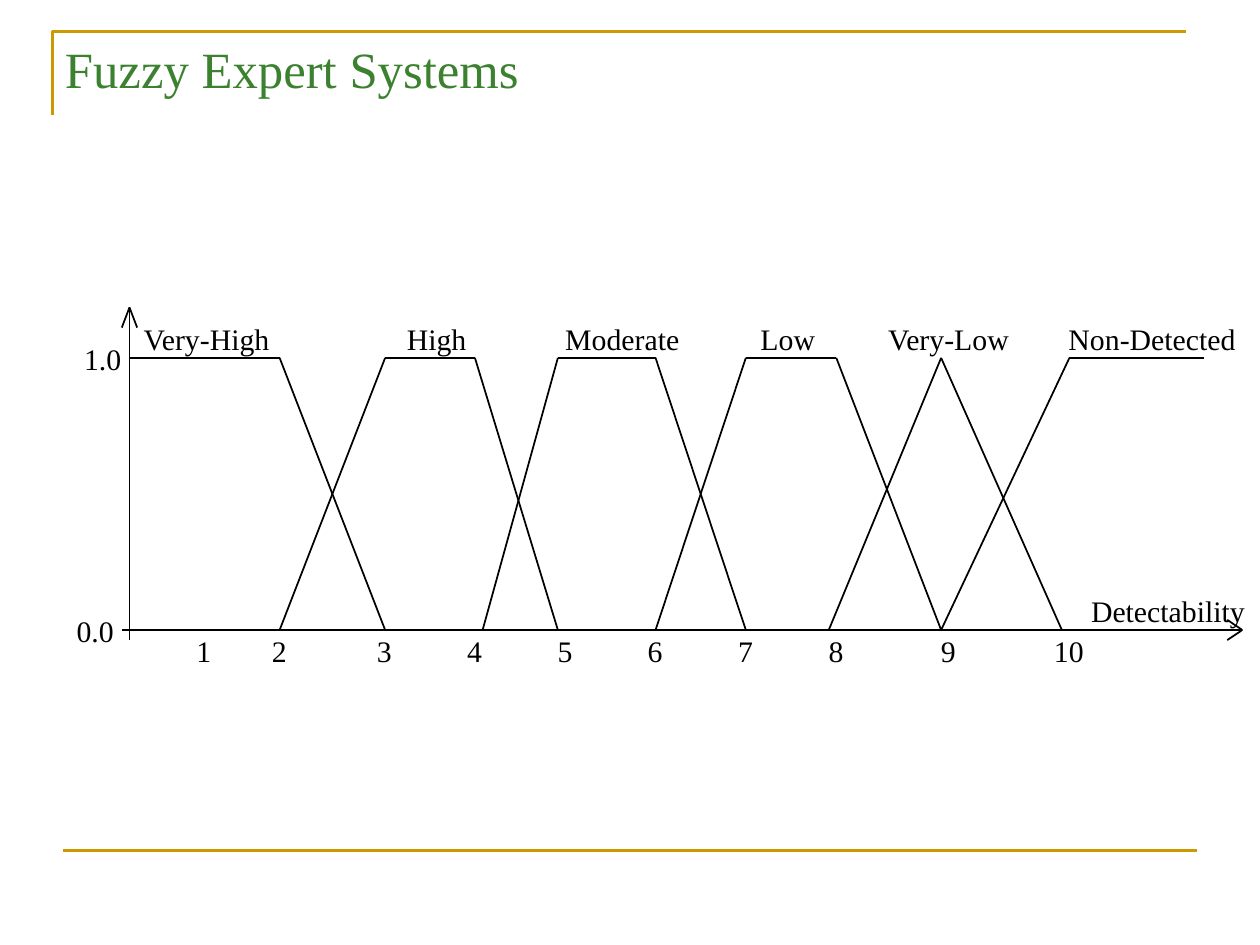
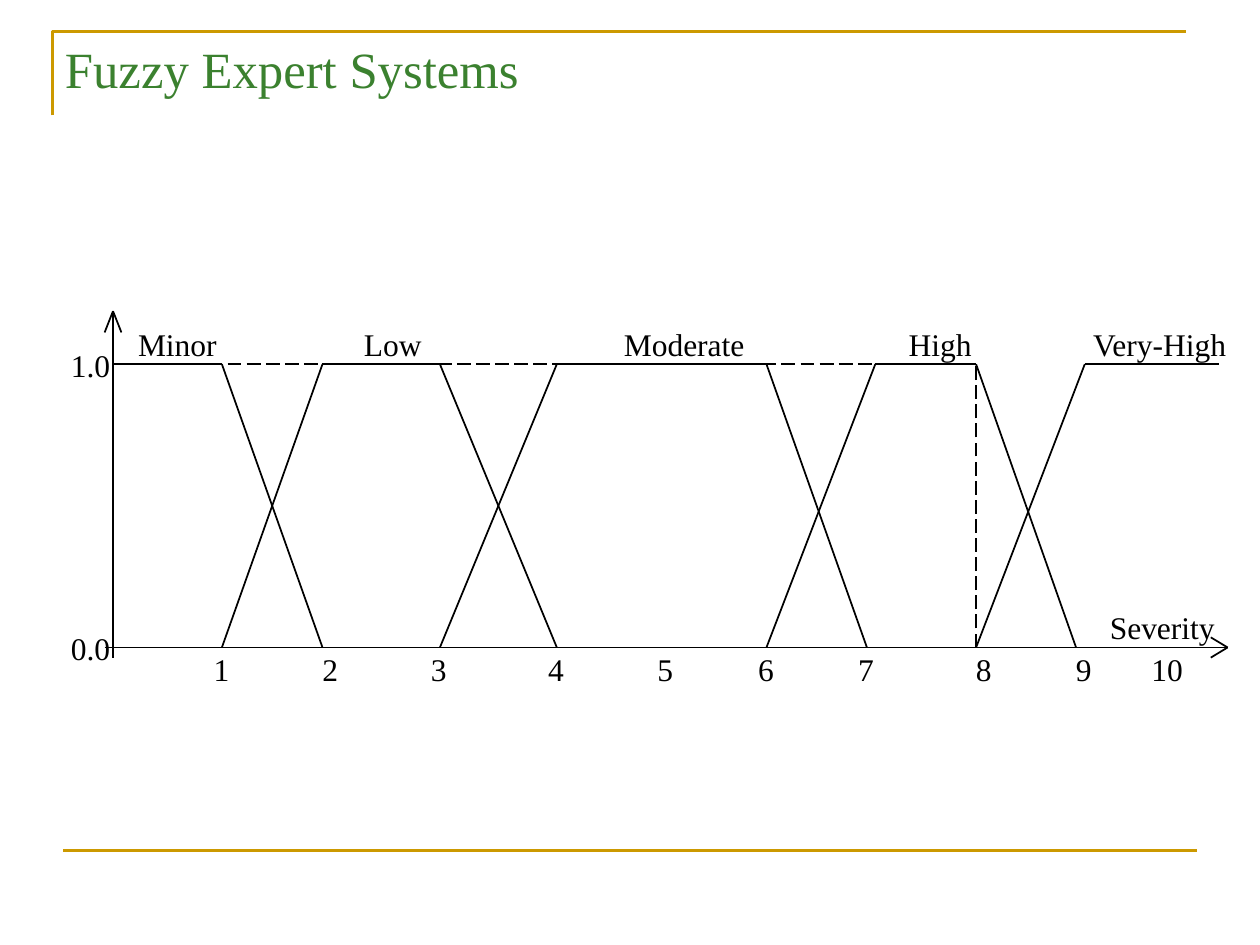
from pptx import Presentation
from pptx.dml.color import RGBColor
from pptx.enum.dml import MSO_LINE
from pptx.enum.shapes import MSO_CONNECTOR
from pptx.enum.text import MSO_ANCHOR, MSO_AUTO_SIZE
from pptx.oxml.ns import qn
from pptx.util import Pt
from lxml.etree import SubElement

COLOURS = {"gold": "CC9900", "title": "3B812F", "ink": "000000"}
FONT = "Times New Roman"
AXIS_OVERHANG = 5.8

# Each set is (name, name left, name width, left foot, left top, right top, right foot);
# a foot of None means the set runs flat to the edge of the graph.
GRAPHS = [
    {
        "variable": ("Detectability", 616.4, 103),
        "text_size": 17, "text_height": 27.4,
        "axis_x": 74, "axis_top": 175.7, "axis_right": 709.9,
        "one_y": 204.5, "zero_y": 360, "tick_rise": 1.7,
        "arrow_half": 4.4, "up_arrow": 11.5, "right_arrow": 8.6,
        "levels": [("1.0", 41), ("0.0", 36.7)], "level_width": 36.5,
        "ticks": [105.1, 148.3, 208.3, 259.9, 311.6, 363, 414.7, 466.4, 530.6, 595.2],
        "sets": [
            ("Very-High", 75, 88.5, None, 74, 159.8, 220.1),
            ("High", 225.4, 49.5, 159.8, 220.1, 271.4, 318.8),
            ("Moderate", 315.9, 80.5, 275.8, 318.8, 374.6, 426.2),
            ("Low", 427.5, 46.5, 374.6, 426.2, 477.9, 537.8),
            ("Very-Low", 500.4, 86, 473.6, 537.8, 537.8, 606.8),
            ("Non-Detected", 603.5, 111, 537.8, 611.1, 688.3, None),
        ],
        "guides": [],
    },
    {
        "variable": ("Severity", 627.1, 75),
        "text_size": 18, "text_height": 28.8,
        "axis_x": 64.6, "axis_top": 177.8, "axis_right": 701.5,
        "one_y": 208.1, "zero_y": 370, "tick_rise": 2.2,
        "arrow_half": 4.8, "up_arrow": 12.2, "right_arrow": 9.6,
        "levels": [("1.0", 33.4), ("0.0", 33.4)], "level_width": 37.5,
        "ticks": [115, 177.1, 239.2, 306.2, 368.6, 426.2, 483.3, 550.6, 607.7, 650.9],
        "sets": [
            ("Minor", 71.8, 60.5, None, 64.6, 126.8, 184.3),
            ("Low", 200.9, 48.5, 126.8, 184.3, 251.4, 318.2),
            ("Moderate", 349.4, 84.5, 251.4, 318.2, 438, 495.4),
            ("High", 512.1, 51.5, 438, 500.2, 557.8, 614.9),
            ("Very-High", 617.6, 93, 557.8, 619.9, 696.4, None),
        ],
        "guides": [(64.6, 208.1, 557.8, 208.1), (557.8, 370, 557.8, 208.1)],
    },
]


def add_line(slide, ends, colour="ink", width=1, dash=None):
    line = slide.shapes.add_connector(MSO_CONNECTOR.STRAIGHT, *[Pt(v) for v in ends])
    line.line.color.rgb = RGBColor.from_string(COLOURS[colour])
    line.line.width = Pt(width)
    if dash:
        line.line.dash_style = dash
    SubElement(line._element.spPr, qn("a:effectLst"))


def add_text(slide, text, box, size, colour="ink", wrap=False):
    frame = slide.shapes.add_textbox(*[Pt(v) for v in box]).text_frame
    frame.word_wrap = wrap
    frame.auto_size = MSO_AUTO_SIZE.NONE if wrap else MSO_AUTO_SIZE.SHAPE_TO_FIT_TEXT
    frame.vertical_anchor = MSO_ANCHOR.MIDDLE if wrap else MSO_ANCHOR.TOP
    paragraph = frame.paragraphs[0]
    paragraph.text = text
    paragraph.font.name = FONT
    paragraph.font.size = Pt(size)
    paragraph.font.color.rgb = RGBColor.from_string(COLOURS[colour])


prs = Presentation()
prs.slide_width, prs.slide_height = Pt(720), Pt(540)

for graph in GRAPHS:
    slide = prs.slides.add_slide(prs.slide_layouts[6])

    # Frame and title
    builder = slide.shapes.build_freeform(Pt(30), Pt(66), scale=1.0)
    builder.add_line_segments([(Pt(30), Pt(18)), (Pt(678), Pt(18))], close=False)
    corner = builder.convert_to_shape()
    corner.shadow.inherit = False
    corner.fill.background()
    corner.line.color.rgb = RGBColor.from_string(COLOURS["gold"])
    corner.line.width = Pt(1.5)
    add_line(slide, (36, 486, 684, 486), "gold", 1.5)
    add_text(slide, "Fuzzy Expert Systems", (30, 18, 610, 42), 29, "title", wrap=True)

    # Axes with open arrowheads
    x, top, right = graph["axis_x"], graph["axis_top"], graph["axis_right"]
    one, zero, half = graph["one_y"], graph["zero_y"], graph["arrow_half"]
    add_line(slide, (x, zero + AXIS_OVERHANG, x, top))
    add_line(slide, (x - half, zero, right, zero))
    for side in (-1, 1):
        add_line(slide, (x, top, x + side * half, top + graph["up_arrow"]))
        add_line(slide, (right, zero, right - graph["right_arrow"], zero + side * AXIS_OVERHANG))

    # Membership functions
    size, height = graph["text_size"], graph["text_height"]
    name_rise = height - 2.7
    for name, name_left, name_width, left_foot, left_top, right_top, right_foot in graph["sets"]:
        if left_foot is not None:
            add_line(slide, (left_foot, zero, left_top, one))
        if left_top != right_top:
            add_line(slide, (left_top, one, right_top, one))
        if right_foot is not None:
            add_line(slide, (right_top, one, right_foot, zero))
        add_text(slide, name, (name_left, one - name_rise, name_width, height), size)
    for guide in graph["guides"]:
        add_line(slide, guide, dash=MSO_LINE.LONG_DASH)

    # Axis labels
    for (level, left), y in zip(graph["levels"], (one, zero)):
        add_text(slide, level, (left, y - height / 2 + 0.4, graph["level_width"], height), size)
    for number, left in enumerate(graph["ticks"], 1):
        width = 23.5 if number < 10 else 33.5
        add_text(slide, str(number), (left, zero - graph["tick_rise"], width, height), size)
    variable, left, width = graph["variable"]
    add_text(slide, variable, (left, zero - name_rise, width, height), size)

prs.save("out.pptx")
